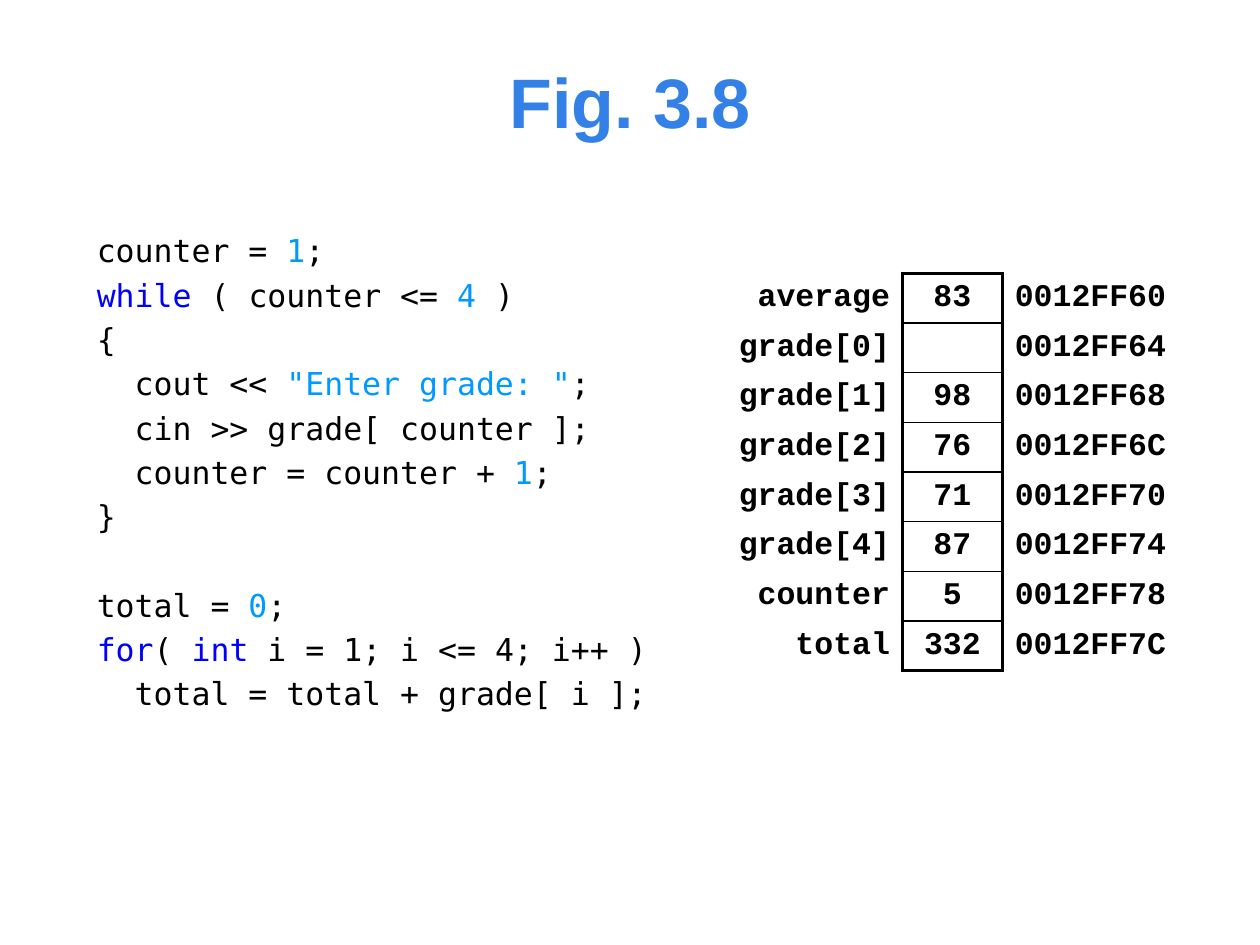
from pptx import Presentation
from pptx.dml.color import RGBColor as Rgb
from pptx.enum.text import MSO_ANCHOR as Anchor, PP_ALIGN as Align
from pptx.oxml import parse_xml
from pptx.oxml.ns import nsdecls, qn
from pptx.util import Pt

BLACK = Rgb(0, 0, 0)
BLUE = Rgb(0x33, 0x80, 0xE6)
KEY = Rgb(0, 0, 0xFF)
VALUE = Rgb(0, 0x99, 0xFF)
NO_GRID = "{2D5ABB26-0587-4C30-8999-92F81FD0307C}"

# Each line: indent level, blank lines above, runs
CODE = [
    (0, 0, [("counter = ", BLACK), ("1", VALUE), (";", BLACK)]),
    (0, 0, [("while", KEY), (" ( counter <= ", BLACK), ("4", VALUE), (" )", BLACK)]),
    (0, 0, [("{", BLACK)]),
    (1, 0, [("cout << ", BLACK), ('"Enter grade: "', VALUE), (";", BLACK)]),
    (1, 0, [("cin >> grade[ counter ];", BLACK)]),
    (1, 0, [("counter = counter + ", BLACK), ("1", VALUE), (";", BLACK)]),
    (0, 0, [("}", BLACK)]),
    (0, 1, [("total = ", BLACK), ("0", VALUE), (";", BLACK)]),
    (0, 0, [("for", KEY), ("( ", BLACK), ("int ", KEY), ("i = 1; i <= 4; i++ )", BLACK)]),
    (1, 0, [("total = total + grade[ i ];", BLACK)]),
]

MEMORY = [
    ("average", "83", "0012FF60"),
    ("grade[0]", "", "0012FF64"),
    ("grade[1]", "98", "0012FF68"),
    ("grade[2]", "76", "0012FF6C"),
    ("grade[3]", "71", "0012FF70"),
    ("grade[4]", "87", "0012FF74"),
    ("counter", "5", "0012FF78"),
    ("total", "332", "0012FF7C"),
]


def style(para, name, size, color, bold, align):
    font = para.font
    font.name, font.size, font.bold = name, Pt(size), bold
    font.color.rgb = color
    para.alignment = align


def text_box(slide, box):
    frame = slide.shapes.add_textbox(*map(Pt, box)).text_frame
    frame.word_wrap = True
    return frame


def add_title(slide, box, text):
    frame = text_box(slide, box)
    frame.vertical_anchor = Anchor.MIDDLE
    para = frame.paragraphs[0]
    para.text = text
    style(para, "Arial", 40, BLUE, True, Align.CENTER)


def add_code(slide, box, lines):
    frame = text_box(slide, box)
    gap, pitch, step = 3.7, 25.2, 21.67
    for i, (level, blank, runs) in enumerate(lines):
        para = frame.paragraphs[0] if i == 0 else frame.add_paragraph()
        style(para, "DejaVu Sans Mono", 18, BLACK, False, Align.LEFT)
        para.space_before = Pt(gap + blank * pitch)
        if level:
            para._p.get_or_add_pPr().set("marL", str(Pt(level * step)))
        for text, color in runs:
            run = para.add_run()
            run.text = text
            run.font.color.rgb = color


def set_edges(cell, edges):
    # Borders come before the fill, in the order L, R, T, B
    props = cell._tc.get_or_add_tcPr()
    for i, (side, width) in enumerate(edges.items()):
        props.insert(i, parse_xml(
            f'<a:ln{side} {nsdecls("a")} w="{Pt(width)}"><a:solidFill>'
            f'<a:srgbClr val="{BLACK}"/></a:solidFill></a:ln{side}>'))


def add_memory(slide, box, rows):
    width, height = box[2:]
    table = slide.shapes.add_table(len(rows), 3, *map(Pt, box)).table
    table.first_row = table.horz_banding = False
    table._tbl.tblPr.find(qn("a:tableStyleId")).text = NO_GRID
    label, middle = 113, 57
    for col, size in zip(table.columns, (label, middle, width - label - middle)):
        col.width = Pt(size)
    aligns = (Align.RIGHT, Align.CENTER, Align.LEFT)
    thick, thin = 2.25, 1
    for r, row in enumerate(rows):
        table.rows[r].height = Pt(height / len(rows))
        edges = (
            {"R": thick},
            {"L": thick, "R": thick,
             "T": thick if r == 0 else thin,
             "B": thick if r == len(rows) - 1 else thin},
            {"L": thick},
        )
        for c, text in enumerate(row):
            cell = table.cell(r, c)
            cell.fill.background()
            cell.vertical_anchor = Anchor.MIDDLE
            cell.margin_top = cell.margin_bottom = Pt(3)
            cell.margin_right = Pt(4 if c == 2 else 7.2)
            para = cell.text_frame.paragraphs[0]
            para.text = text
            style(para, "Courier New", 18, BLACK, True, aligns[c])
            set_edges(cell, edges[c])


prs = Presentation()
prs.slide_width, prs.slide_height = Pt(720), Pt(540)
slide = prs.slides.add_slide(prs.slide_layouts[6])
add_title(slide, (19.75, 15, 680.5, 85), "Fig. 3.8")
add_code(slide, (48.25, 128.75, 341, 297), CODE)
add_memory(slide, (402.75, 156.25, 269.5, 227), MEMORY)
prs.save("out.pptx")
